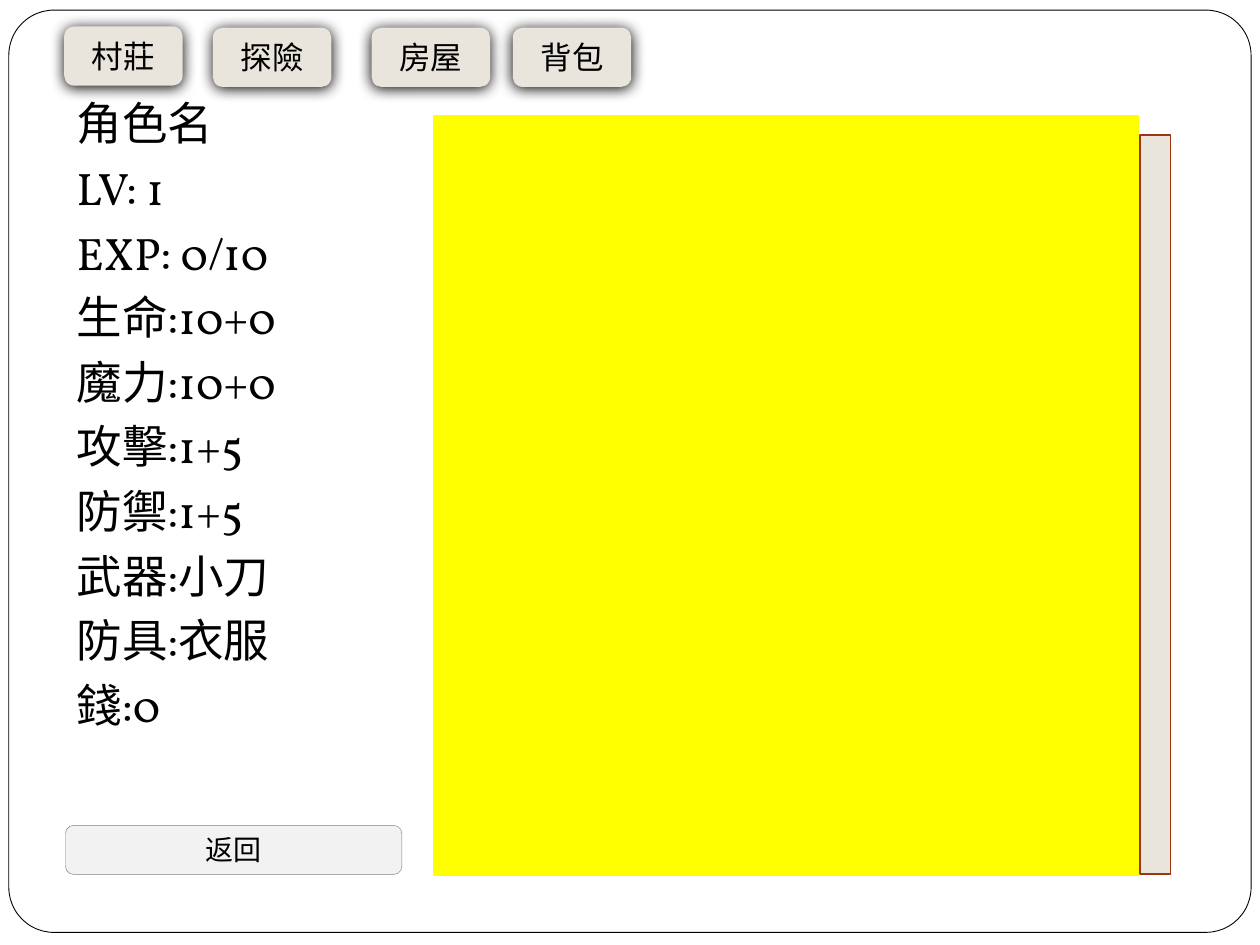
"""Build a role-playing game status screen."""
from lxml import etree
from pptx import Presentation
from pptx import util as u
from pptx.dml.color import RGBColor
from pptx.enum import shapes, text
from pptx.oxml import ns

STATS = ["角色名", "LV: 1", "EXP: 0/10", "生命:10+0", "魔力:10+0",
         "攻擊:1+5", "防禦:1+5", "武器:小刀", "防具:衣服", "錢:0"]
TABS = [("村莊", 0.51, 0.21), ("探險", 1.69, 0.22),
        ("房屋", 2.95, 0.22), ("背包", 4.07, 0.22)]
RECT = shapes.MSO_SHAPE.RECTANGLE
ROUND = shapes.MSO_SHAPE.ROUNDED_RECTANGLE

deck = Presentation()
deck.slide_width, deck.slide_height = u.Inches(10), u.Inches(7.5)
slide = deck.slides.add_slide(deck.slide_layouts[6])


def tint(code):
    return RGBColor.from_string(code)


def style(para, size, face):
    para.font.size = u.Pt(size)
    para.font.name = face
    para.font.color.rgb = tint("000000")


def box(kind, place, fill, line=None, width=1):
    item = slide.shapes.add_shape(kind, *map(u.Inches, place))
    item.shadow.inherit = False
    item.fill.solid()
    item.fill.fore_color.rgb = tint(fill)
    if line:
        item.line.color.rgb = tint(line)
        item.line.width = u.Pt(width)
    else:
        item.line.fill.background()
    return item


def label(item, words, size, face):
    frame = item.text_frame
    frame.vertical_anchor = text.MSO_ANCHOR.MIDDLE
    para = frame.paragraphs[0]
    para.text = words
    para.alignment = text.PP_ALIGN.CENTER
    style(para, size, face)


def shade(item, blur, dist):
    effects = item._element.spPr.find(ns.qn("a:effectLst"))
    outer = etree.SubElement(effects, ns.qn("a:outerShdw"), blurRad=str(u.Pt(blur)),
                             dist=str(u.Pt(dist)), dir="5400000", rotWithShape="0")
    etree.SubElement(outer, ns.qn("a:srgbClr"), val="000000")


panel = box(ROUND, (0.07, 0.08, 9.86, 7.32), "FFFFFF", "000000", 0.5)
panel.adjustments[0] = 0.049

stats = slide.shapes.add_textbox(*map(u.Inches, (0.51, 0.71, 2.53, 5.64))).text_frame
stats.word_wrap = True
stats.text = "\n".join(STATS)
for para in stats.paragraphs:
    style(para, 26, "Vollkorn")
    para.space_before = u.Pt(5.8)
    para.line_spacing = u.Pt(31.1)

box(RECT, (3.44, 0.92, 5.59, 6.03), "FFFF00", "FFFF00")
box(RECT, (9.05, 1.07, 0.24, 5.87), "E9E5DC", "9C3511")

for name, left, top in TABS:
    tab = box(ROUND, (left, top, 0.94, 0.47), "E9E5DC")
    shade(tab, 8.5, 1)
    label(tab, name, 18, "Vollkorn")

back = box(ROUND, (0.52, 6.55, 2.67, 0.39), "F2F2F2", "808080", 0.25)
back.text_frame.margin_top = 0
back.text_frame.margin_bottom = u.Inches(0.01)
label(back, "返回", 16, "Lato")

deck.save("out.pptx")
